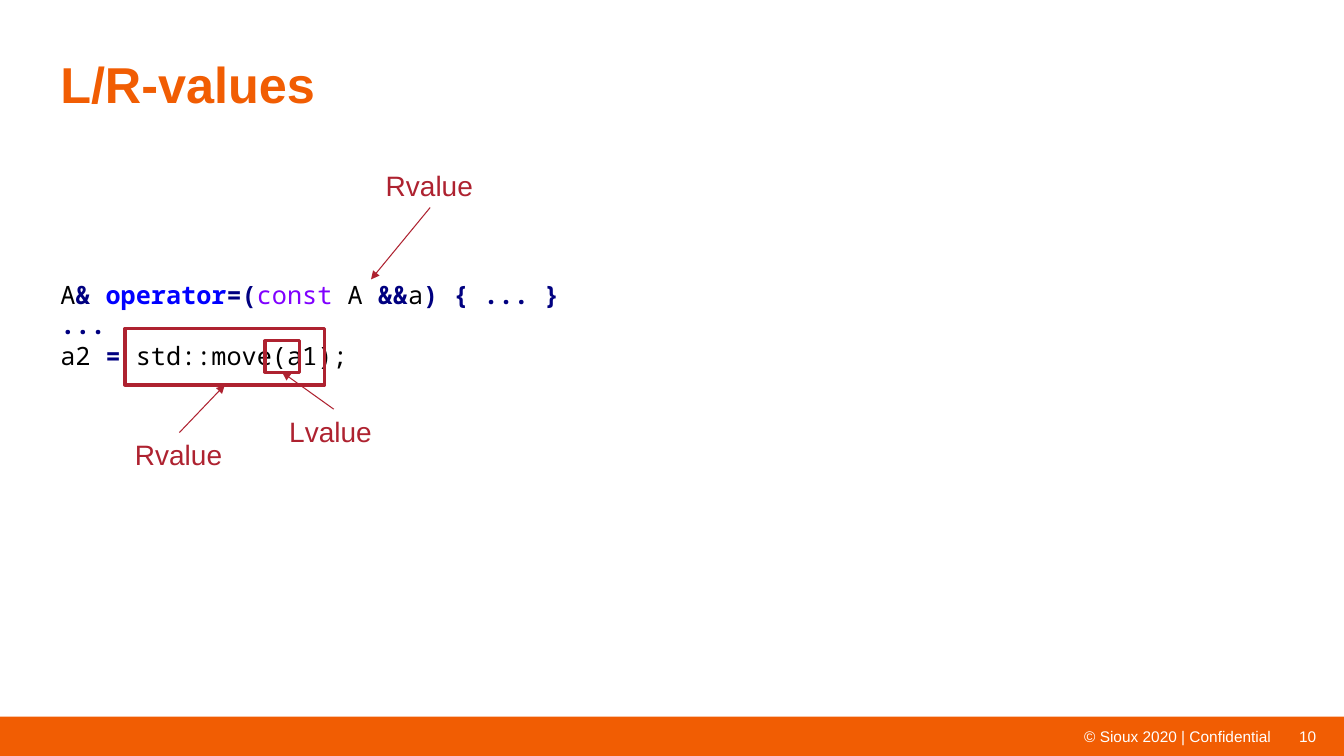
from lxml import etree
from pptx import Presentation
from pptx import util as u
from pptx.dml.color import RGBColor
from pptx.enum import shapes, text
from pptx.oxml import ns

ORANGE = RGBColor(0xF1, 0x5D, 0x03)
RED = RGBColor(0xAE, 0x22, 0x30)
WHITE = RGBColor(0xFF, 0xFF, 0xFF)
BLACK = RGBColor(0x00, 0x00, 0x00)
NAVY = RGBColor(0x00, 0x00, 0x80)
BLUE = RGBColor(0x00, 0x00, 0xFF)
VIOLET = RGBColor(0x80, 0x00, 0xFF)

TOP, BOTTOM = 0, 2

CODE = [
    [("A", BLACK), ("&", NAVY), (" ", BLACK), ("operator", BLUE),
     ("=(", NAVY), ("const", VIOLET), (" A ", BLACK), ("&&", NAVY),
     ("a", BLACK), (")", NAVY), (" ", BLACK), ("{", NAVY), (" ", BLACK),
     ("...", NAVY), (" ", BLACK), ("}", NAVY)],
    [("...", NAVY)],
    [("a2 ", BLACK), ("=", NAVY), (" std::move(a1);", BLACK)],
]


class Deck:
    """Holds the fonts and the slide being drawn."""

    sans = "Arial"
    mono = "Noto Sans Mono"

    def __init__(self):
        self.prs = Presentation()
        self.prs.slide_width = u.Cm(33.87)
        self.prs.slide_height = u.Cm(19.05)
        self.slide = self.prs.slides.add_slide(self.prs.slide_layouts[6])

    def run(self, para, words, size, color, bold=False, face=None):
        run = para.add_run()
        run.text = words
        font = run.font
        font.name = face or self.sans
        font.size = u.Pt(size)
        font.bold = bold
        font.color.rgb = color

    def frame(self, box, pad=0):
        """Set the side margins and return the first paragraph."""
        body = box.text_frame
        body.word_wrap = True
        body.margin_left = body.margin_right = u.Cm(pad)
        body.margin_top = body.margin_bottom = 0
        return body.paragraphs[0]

    def text(self, *place):
        return self.slide.shapes.add_textbox(*map(u.Cm, place))

    def rect(self, *place, fill=None, width=0):
        box = self.slide.shapes.add_shape(
            shapes.MSO_SHAPE.RECTANGLE, *map(u.Cm, place))
        box.shadow.inherit = False
        if fill is None:
            box.fill.background()
        else:
            box.fill.solid()
            box.fill.fore_color.rgb = fill
        if width:
            box.line.color.rgb = RED
            box.line.width = u.Pt(width)
        else:
            box.line.fill.background()
        return box

    def title(self, words):
        para = self.frame(self.text(1.52, 1.52, 30.81, 1.88))
        para.line_spacing = 0.9
        self.run(para, words, 36, ORANGE, True)

    def code(self, lines):
        para = self.frame(self.text(1.52, 7.04, 20.98, 6.68))
        for row, line in enumerate(lines):
            if row:
                para.add_line_break()
            for words, color in line:
                bold = color in (NAVY, BLUE)
                self.run(para, words, 18, color, bold, self.mono)

    def foot(self, words, place, align, pad=0):
        box = self.rect(*place, fill=ORANGE)
        para = self.frame(box, pad)
        box.text_frame.word_wrap = False
        box.text_frame.vertical_anchor = text.MSO_ANCHOR.MIDDLE
        para.alignment = align
        self.run(para, words, 11, WHITE)

    def label(self, words, left, top):
        box = self.text(left, top, 2.74, 1.12)
        body = box.text_frame
        body.word_wrap = True
        body.auto_size = text.MSO_AUTO_SIZE.SHAPE_TO_FIT_TEXT
        self.run(body.paragraphs[0], words, 20, RED)
        return box

    def arrow(self, start, side, goal=None, end=(0, 0)):
        """Point from a label's side to a box's bottom or a free end."""
        x, y = map(u.Cm, end)
        line = self.slide.shapes.add_connector(
            shapes.MSO_CONNECTOR.STRAIGHT, x, y, x, y)
        line.begin_connect(start, side)
        if goal is not None:
            line.end_connect(goal, BOTTOM)
        line.line.color.rgb = RED
        line.line.width = u.Pt(0.75)
        stroke = line.line._get_or_add_ln()
        etree.SubElement(stroke, ns.qn("a:tailEnd"), type="triangle")
        etree.SubElement(line._element.spPr, ns.qn("a:effectLst"))


def main():
    deck = Deck()
    deck.rect(0, 18.06, 33.87, 0.99, fill=ORANGE)
    deck.code(CODE)
    deck.foot("© Sioux 2020 | Confidential", (27.03, 18.31, 5.11, 0.48),
              text.PP_ALIGN.RIGHT, 0.1)
    deck.title("L/R-values")
    deck.foot("10", (32.56, 18.29, 0.79, 0.51), text.PP_ALIGN.CENTER)

    param = deck.label("Rvalue", 9.47, 4.11)
    deck.arrow(param, BOTTOM, end=(9.35, 7.04))
    inner = deck.rect(6.68, 8.59, 0.86, 0.79, width=2.25)
    outer = deck.rect(3.15, 8.28, 5.03, 1.42, width=2.5)
    deck.arrow(deck.label("Rvalue", 3.15, 10.9), TOP, outer)
    deck.arrow(deck.label("Lvalue", 7.04, 10.31), TOP, inner)
    deck.prs.save("out.pptx")


if __name__ == "__main__":
    main()
